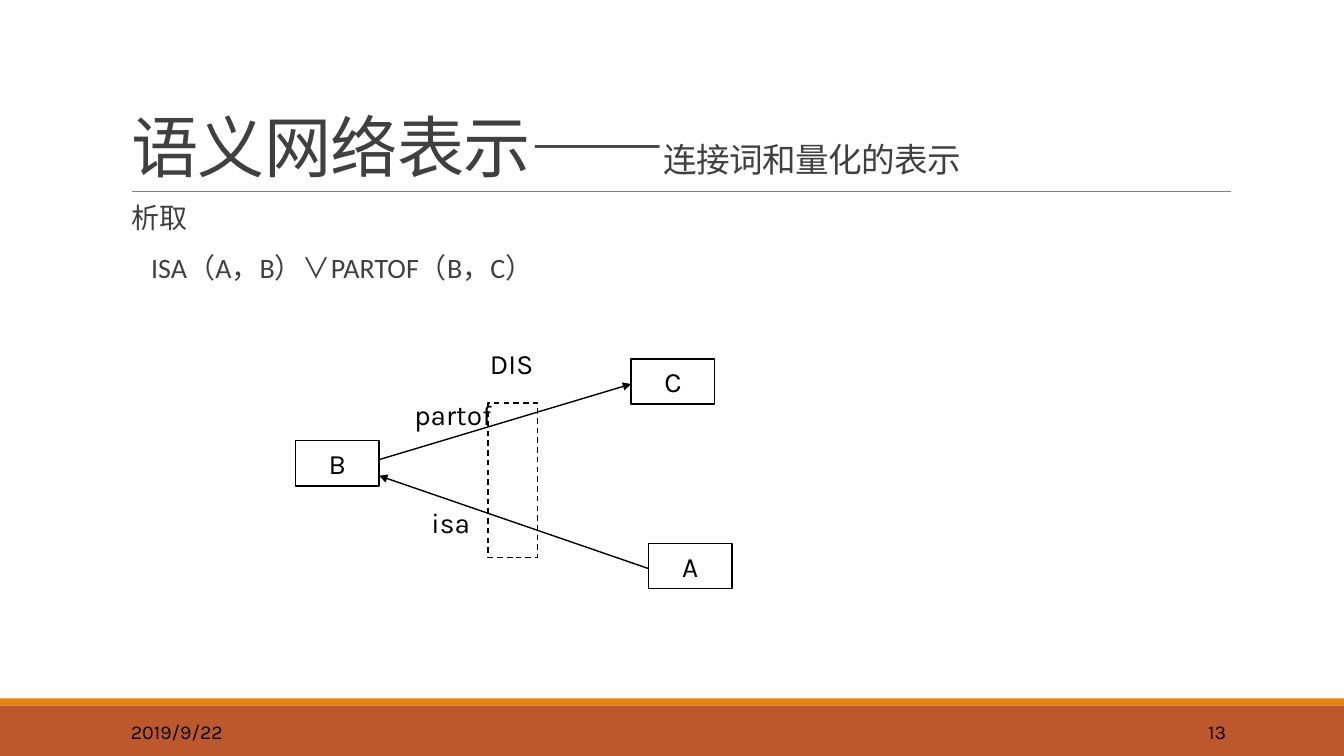
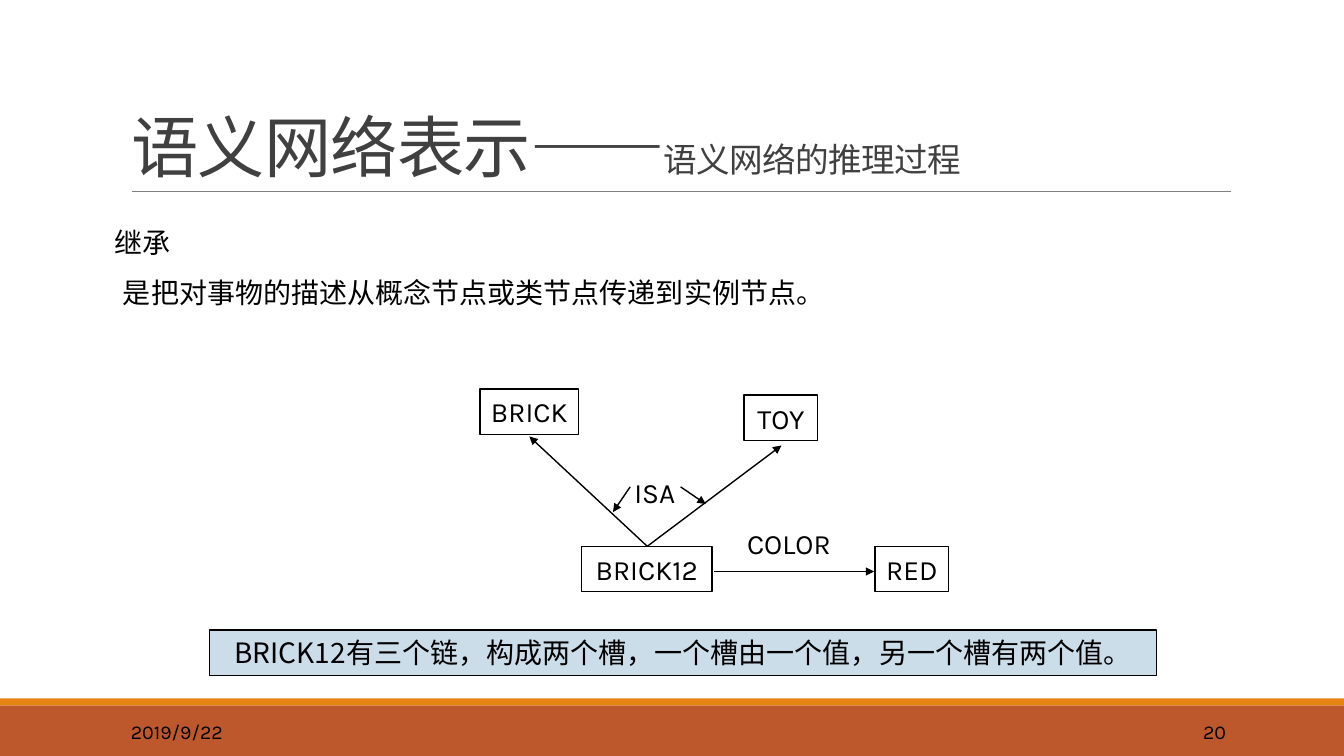
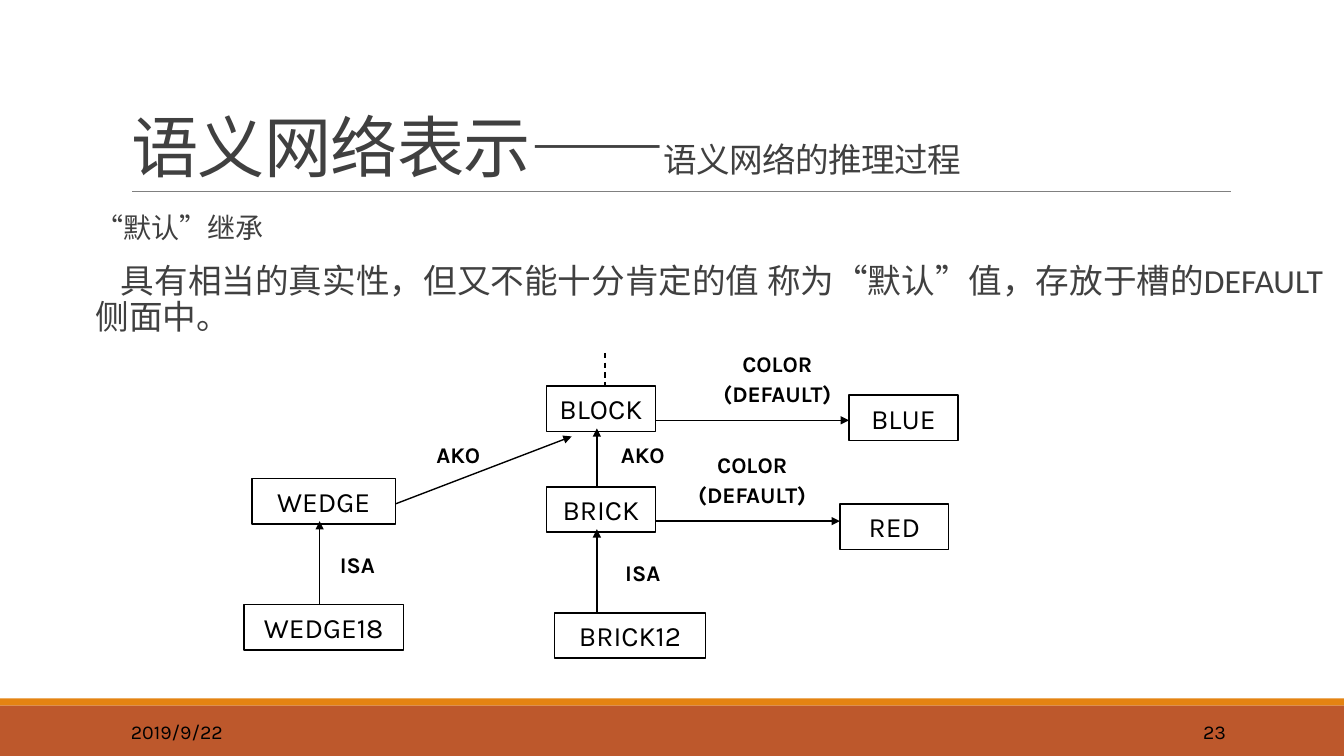
from dataclasses import dataclass

from lxml.etree import SubElement
from pptx import Presentation
from pptx.dml.color import RGBColor
from pptx.enum.dml import MSO_LINE
from pptx.enum.lang import MSO_LANGUAGE_ID
from pptx.enum.shapes import MSO_CONNECTOR, MSO_SHAPE
from pptx.enum.text import MSO_ANCHOR, MSO_AUTO_SIZE, PP_ALIGN
from pptx.oxml.ns import qn
from pptx.util import Inches, Pt


@dataclass(frozen=True)
class Theme:
    ink: str = "000000"
    heading: str = "404040"
    rule: str = "808080"
    band: str = "BD582C"
    stripe: str = "E48312"
    highlight: str = "CCDDEA"
    title_font: str = "Times New Roman"
    body_font: str = "Calibri"
    diagram_font: str = "Karla"
    asian_font: str = "Noto Sans CJK JP"
    title_size: int = 48
    large_size: int = 24
    text_size: int = 20
    label_size: int = 16
    footer_size: int = 14


THEME = Theme()
WIDTH, HEIGHT = 13.33, 7.5
NODE_HEIGHT = 0.45
TOPIC = "语义网络表示——"
DATE = "2019/9/22"
FOOTER_TOP, FOOTER_HEIGHT = 7.06, 0.4
INFERENCE = "语义网络的推理过程"
DEFAULT_COLOR = ("COLOR", "(DEFAULT)")

SLIDES = [
    {
        "subtitle": "连接词和量化的表示",
        "page": "13",
        "body_at": (1.2, 1.98, 8.5, 1.13),
        "body_color": THEME.heading,
        "heading": "析取",
        "statement": "ISA（A，B）∨PARTOF（B，C）",
        "statement_size": THEME.text_size,
        "indent": 0.2,
        "nodes": [
            ("B", 2.93, 4.37, 0.83),
            ("A", 6.43, 5.39, 0.83),
            ("C", 6.26, 3.56, 0.83),
        ],
        "group_box": (4.84, 4, 0.49, 1.53),
        "arrows": [(3.76, 4.56, 6.26, 3.81), (6.43, 5.64, 3.76, 4.72)],
        "relations": [
            ("partof", 4.11, 3.89, 0.97, PP_ALIGN.LEFT),
            ("isa", 4.28, 4.97, 0.63, PP_ALIGN.LEFT),
            ("DIS", 4.86, 3.39, 0.72, PP_ALIGN.LEFT),
        ],
    },
    {
        "subtitle": INFERENCE,
        "page": "20",
        "body_at": (1.04, 2.23, 10.74, 1.63),
        "body_color": THEME.ink,
        "heading": "继承",
        "statement": "是把对事物的描述从概念节点或类节点传递到实例节点。",
        "statement_size": THEME.text_size,
        "indent": 0.08,
        "nodes": [
            ("BRICK", 4.76, 3.86, 0.98),
            ("TOY", 7.38, 3.92, 0.73),
            ("BRICK12", 5.77, 5.42, 1.29),
            ("RED", 8.68, 5.42, 0.73),
        ],
        "arrows": [
            (7.08, 5.67, 8.67, 5.67),
            (6.42, 5.42, 7.75, 4.42),
            (6.42, 5.42, 5.25, 4.33),
            (6.25, 4.83, 6.08, 5.08),
            (6.75, 4.83, 7, 5),
        ],
        "relations": [
            ("COLOR", 7.29, 5.17, 1.07, PP_ALIGN.CENTER),
            ("ISA", 6.08, 4.67, 0.83, PP_ALIGN.CENTER),
        ],
        "conclusion": (
            "BRICK12有三个链，构成两个槽，一个槽由一个值，另一个槽有两个值。",
            2.08, 6.25, 9.39,
        ),
    },
    {
        "subtitle": INFERENCE,
        "page": "23",
        "body_at": (0.85, 2.08, 12.3, 1.54),
        "body_color": THEME.heading,
        "heading": "“默认”继承",
        "statement": "具有相当的真实性，但又不能十分肯定的值 称为“默认”值，"
                     "存放于槽的DEFAULT侧面中。",
        "statement_size": THEME.large_size,
        "indent": 0.25,
        "nodes": [
            ("BRICK", 5.42, 4.83, 1.08),
            ("BLOCK", 5.42, 3.83, 1.08),
            ("BRICK12", 5.5, 6.08, 1.5),
            ("WEDGE", 2.5, 4.75, 1.42),
            ("WEDGE18", 2.42, 6, 1.58),
            ("BLUE", 8.42, 3.92, 1.08),
            ("RED", 8.33, 5, 1.08),
        ],
        "arrows": [
            (6.5, 4.17, 8.42, 4.17),
            (6.5, 5.17, 8.33, 5.17),
            (5.92, 4.83, 5.92, 4.25),
            (5.92, 6.08, 5.92, 5.25),
            (3.92, 5, 5.67, 4.33),
            (3.17, 6, 3.17, 5.17),
        ],
        "continuation": (6, 3.5, 6, 3.83),
        "slots": [
            (DEFAULT_COLOR, 6.92, 3.5, 1.58),
            (DEFAULT_COLOR, 6.67, 4.5, 1.58),
            (("AKO",), 6, 4.33, 0.75),
            (("AKO",), 4.17, 4.33, 0.75),
            (("ISA",), 3.17, 5.42, 0.75),
            (("ISA",), 6, 5.5, 0.75),
        ],
    },
]


def assign(target, values):
    for name, value in values.items():
        setattr(target, name, value)


def rgb(color):
    return RGBColor.from_string(color)


def write(paragraph, text, size, font, color=THEME.ink, bold=False):
    run = paragraph.add_run()
    run.text = text
    assign(run.font, {"size": Pt(size), "bold": bold, "name": font,
                      "language_id": MSO_LANGUAGE_ID.SIMPLIFIED_CHINESE})
    run.font.color.rgb = rgb(color)
    properties = run.font._element
    SubElement(properties, qn("a:ea")).set("typeface", THEME.asian_font)
    return properties


def set_frame(frame, anchor=MSO_ANCHOR.TOP, side=0):
    assign(frame, {"word_wrap": True, "auto_size": MSO_AUTO_SIZE.NONE,
                   "vertical_anchor": anchor,
                   "margin_left": Inches(side), "margin_right": Inches(side),
                   "margin_top": Inches(0.05), "margin_bottom": Inches(0.05)})


def add_text(slide, at, lines, size, font=THEME.diagram_font, align=PP_ALIGN.CENTER,
             anchor=MSO_ANCHOR.TOP, side=0, bold=False):
    frame = slide.shapes.add_textbox(*map(Inches, at)).text_frame
    set_frame(frame, anchor, side)
    for position, line in enumerate(lines):
        paragraph = frame.add_paragraph() if position else frame.paragraphs[0]
        paragraph.alignment = align
        if len(lines) > 1:
            paragraph.line_spacing = 0.7
        if position:
            paragraph.space_before = Pt(size / 2)
        write(paragraph, line, size, font, bold=bold)


def add_box(slide, at, fill=None, outline=THEME.ink, dashed=False):
    box = slide.shapes.add_shape(MSO_SHAPE.RECTANGLE, *map(Inches, at))
    box.shadow.inherit = False
    if fill:
        box.fill.solid()
        box.fill.fore_color.rgb = rgb(fill)
    else:
        box.fill.background()
    if outline:
        box.line.color.rgb = rgb(outline)
        box.line.width = Pt(1)
        if dashed:
            box.line.dash_style = MSO_LINE.DASH
    else:
        box.line.fill.background()
    return box


def add_node(slide, text, left, top, width, fill=None, font=THEME.diagram_font):
    frame = add_box(slide, (left, top, width, NODE_HEIGHT), fill).text_frame
    set_frame(frame, MSO_ANCHOR.MIDDLE)
    frame.paragraphs[0].alignment = PP_ALIGN.CENTER
    write(frame.paragraphs[0], text, THEME.text_size, font)


def add_line(slide, ends, color=THEME.ink, width=1, arrow=False, dashed=False):
    line = slide.shapes.add_connector(MSO_CONNECTOR.STRAIGHT, *map(Inches, ends))
    line.line.color.rgb = rgb(color)
    line.line.width = Pt(width)
    if dashed:
        line.line.dash_style = MSO_LINE.DASH
    if arrow:
        SubElement(line.line._get_or_add_ln(), qn("a:tailEnd")).set("type", "triangle")
    SubElement(line.element.spPr, qn("a:effectLst"))
    return line


def decorate_layout(layout, slide):
    decorations = [
        add_box(slide, (0, 7, WIDTH, 0.5), THEME.band, None),
        add_box(slide, (0, 6.93, WIDTH, 0.07), THEME.stripe, None),
        add_line(slide, (1.31, 1.9, 12.21, 1.9), THEME.rule, 0.5),
    ]
    for number, decoration in enumerate(decorations, 100):
        decoration.element.xpath(".//p:cNvPr")[0].set("id", str(number))
        layout.shapes.element.insert(2, decoration.element)


def add_title(slide, subtitle):
    title = slide.shapes.title
    assign(title, {"left": Inches(1.2), "top": Inches(0.31),
                   "width": Inches(11), "height": Inches(1.59)})
    set_frame(title.text_frame, MSO_ANCHOR.BOTTOM, 0.1)
    paragraph = title.text_frame.paragraphs[0]
    assign(paragraph, {"alignment": PP_ALIGN.LEFT, "line_spacing": 0.85})
    for text, size, font in ((TOPIC, THEME.title_size, THEME.title_font),
                             (subtitle, THEME.large_size, THEME.body_font)):
        write(paragraph, text, size, font, THEME.heading).set("spc", "-50")


def add_body(slide, content):
    frame = slide.shapes.add_textbox(*map(Inches, content["body_at"])).text_frame
    set_frame(frame)
    rows = [
        (frame.paragraphs[0], content["heading"], THEME.text_size, 0, 0),
        (frame.add_paragraph(), content["statement"], content["statement_size"],
         content["indent"], 12),
    ]
    for paragraph, text, size, indent, before in rows:
        assign(paragraph, {"line_spacing": 0.9, "space_before": Pt(before),
                           "space_after": Pt(2)})
        properties = paragraph._p.get_or_add_pPr()
        properties.set("marL", str(Inches(0.1)))
        properties.set("indent", str(Inches(indent)))
        write(paragraph, text, size, THEME.body_font, content["body_color"])


def add_footer(slide, page):
    for text, left, width, align in ((DATE, 1.2, 2.7, PP_ALIGN.LEFT),
                                     (page, 10.83, 1.43, PP_ALIGN.RIGHT)):
        add_text(slide, (left, FOOTER_TOP, width, FOOTER_HEIGHT), [text],
                 THEME.footer_size, align=align, anchor=MSO_ANCHOR.MIDDLE, side=0.1)


def add_diagram(slide, content):
    for node in content["nodes"]:
        add_node(slide, *node)
    if "group_box" in content:
        add_box(slide, content["group_box"], dashed=True)
    for ends in content["arrows"]:
        add_line(slide, ends, arrow=True)
    if "continuation" in content:
        add_line(slide, content["continuation"], dashed=True)
    for text, left, top, width, align in content.get("relations", []):
        add_text(slide, (left, top, width, 0.43), [text], THEME.text_size, align=align)
    for lines, left, top, width in content.get("slots", []):
        height = 0.37 if len(lines) == 1 else 0.61
        add_text(slide, (left, top, width, height), lines, THEME.label_size, bold=True)
    if "conclusion" in content:
        add_node(slide, *content["conclusion"], fill=THEME.highlight,
                 font=THEME.asian_font)


def main():
    deck = Presentation()
    assign(deck, {"slide_width": Inches(WIDTH), "slide_height": Inches(HEIGHT)})
    layout = deck.slide_layouts[5]
    for position, content in enumerate(SLIDES):
        slide = deck.slides.add_slide(layout)
        if position == 0:
            decorate_layout(layout, slide)
        add_title(slide, content["subtitle"])
        add_body(slide, content)
        add_footer(slide, content["page"])
        add_diagram(slide, content)
    deck.save("out.pptx")


if __name__ == "__main__":
    main()
